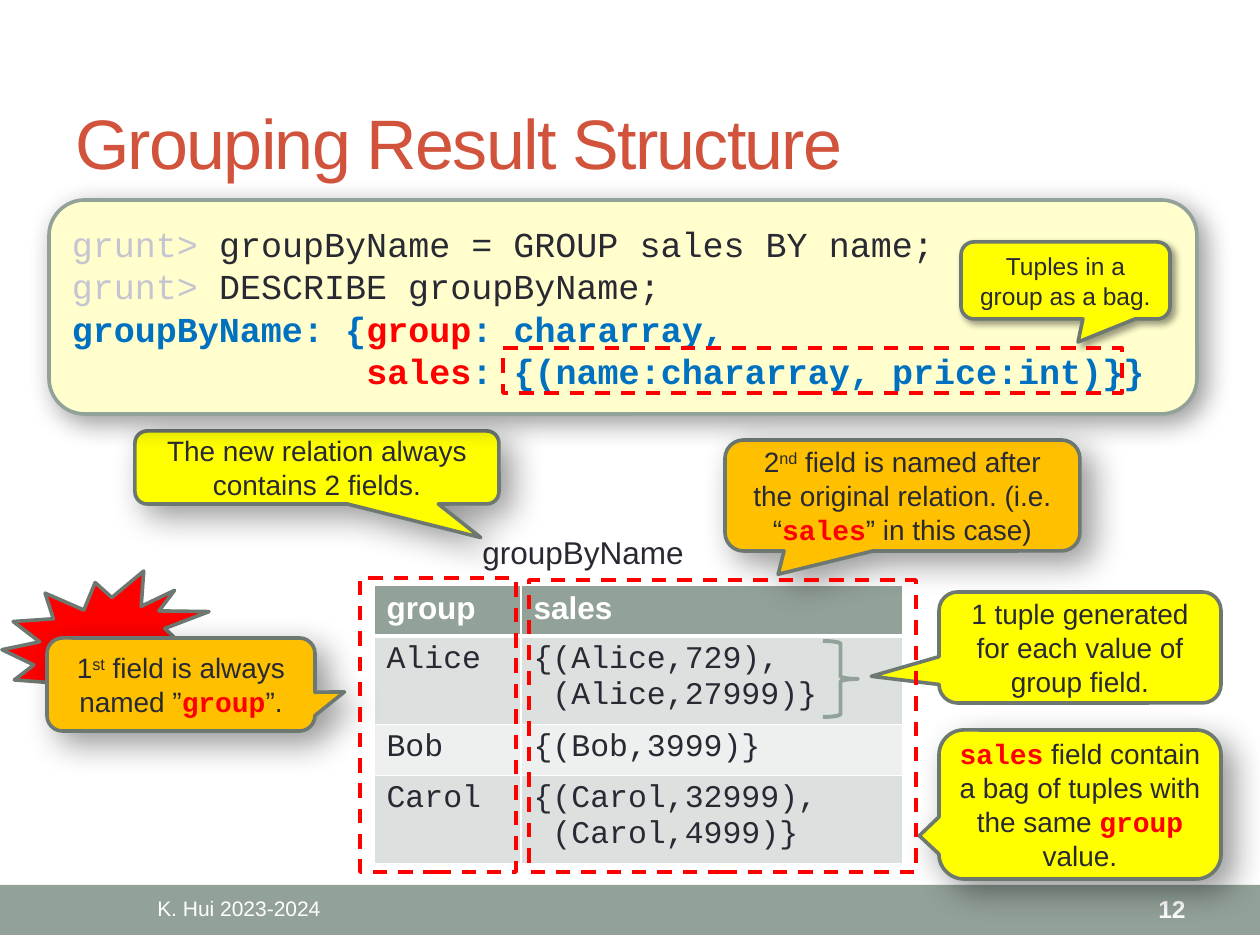
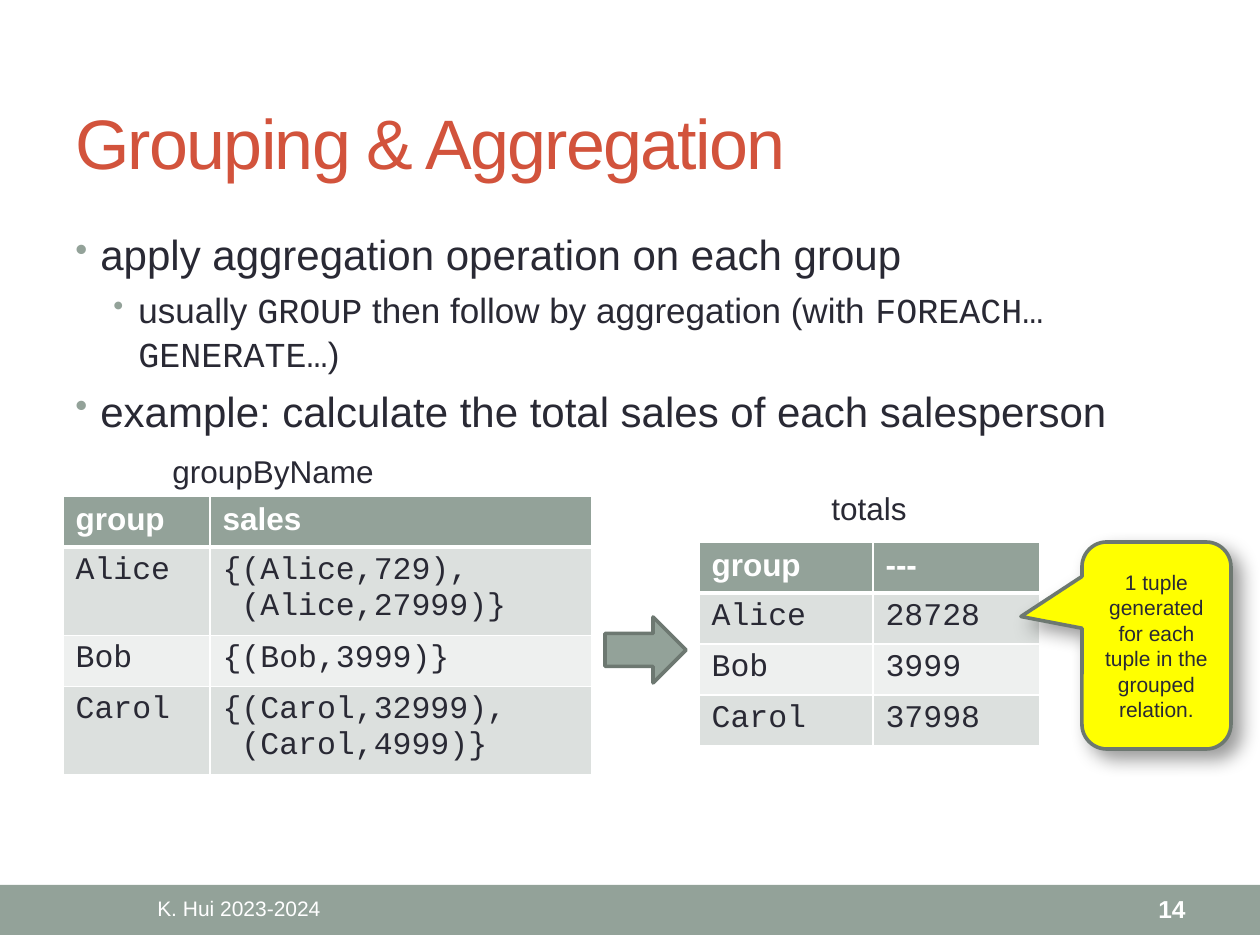
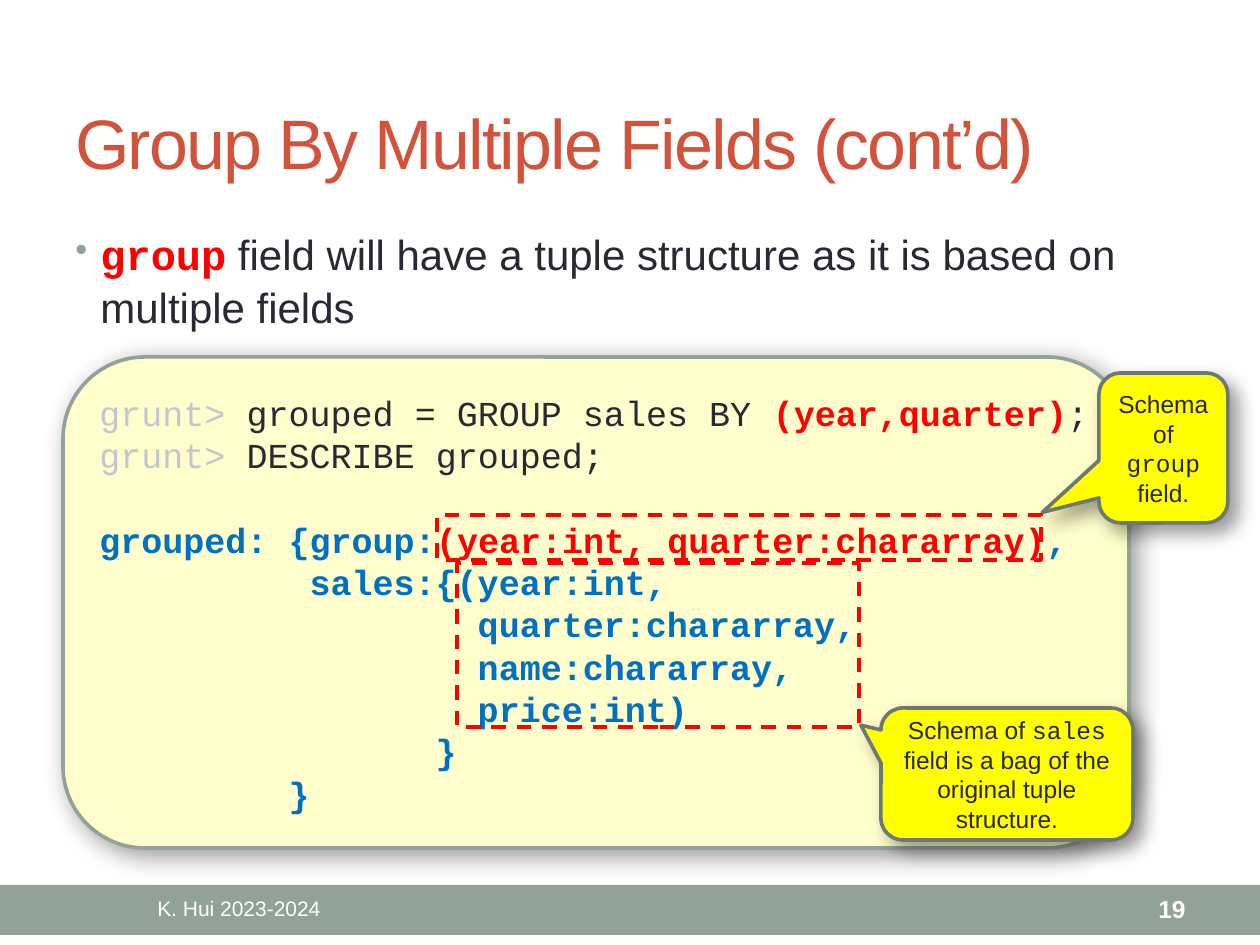
from collections import namedtuple

from lxml.etree import SubElement
from pptx import Presentation
from pptx.dml.color import RGBColor
from pptx.enum.dml import MSO_LINE
from pptx.enum.shapes import MSO_SHAPE as Shape
from pptx.enum.text import MSO_ANCHOR as Anchor, PP_ALIGN as Align
from pptx.oxml.ns import qn
from pptx.util import Emu, Pt

PX = 914400 / 126
SAGE, EDGE, INK, WHITE = "93A299", "6D7871", "292934", "FFFFFF"
RED, BLUE, YELLOW, ORANGE = "FF0000", "0070C0", "FFFF00", "FFC000"
CREAM, TITLE, PROMPT = "FFFECC", "D2533C", "C5C5D1"
STRIPES = ("DCE0DE", "EEF0EF")
LINE_WIDTH, LEADING, BULLET_LEADING, ROW_HEIGHT = 2.08, 1.21, 1.05, 51
SANS, MONO = "Arial", "Courier New"
STYLES = {
    "text": (SANS, INK, False),
    "super": (SANS, INK, False),
    "code": (MONO, INK, False),
    "key": (MONO, RED, True),
    "prompt": (MONO, PROMPT, False),
    "schema": (MONO, BLUE, True),
    "title": (SANS, TITLE, False),
    "footer": (SANS, WHITE, False),
    "header": (SANS, WHITE, True),
}
CODE_SHADOW, WIDE_SHADOW = (15, 5), (19, 9)
MID_SHADOW, SMALL_SHADOW = (11, 7), (4, 3)
GROUPED_ROWS = [
    ["group", "sales"],
    ["Alice", "{(Alice,729),\n (Alice,27999)}"],
    ["Bob", "{(Bob,3999)}"],
    ["Carol", "{(Carol,32999),\n (Carol,4999)}"],
]
TOTAL_ROWS = [["group", "---"], ["Alice", "28728"], ["Bob", "3999"], ["Carol", "37998"]]


class Box(namedtuple("Box", "left top width height")):
    """A rectangle in px."""

    def inside(self, left, top, width, height):
        """Return a box measured from this box's top left corner."""
        return Box(self.left + left, self.top + top, width, height)

    def emu(self):
        """Return the four lengths in EMU."""
        return [px(length) for length in self]


def px(length):
    """Turn px into EMU."""
    return Emu(round(length * PX))


def color(value):
    """Turn a hex string into a colour."""
    return RGBColor.from_string(value)


def assign(target, values):
    """Set attributes from a dict."""
    for key, value in values.items():
        setattr(target, key, value)


def write(frame, paragraphs, size, align=Align.LEFT, leading=LEADING):
    """Fill a text frame with paragraphs of (text, style) runs."""
    for index, runs in enumerate(paragraphs):
        paragraph = frame.add_paragraph() if index else frame.paragraphs[0]
        paragraph.alignment = align
        if leading:
            paragraph.line_spacing = Pt(size * leading)
        add_runs(paragraph, runs, size)


def add_runs(paragraph, runs, size):
    """Add styled runs to a paragraph."""
    for text, style in runs:
        run = paragraph.add_run()
        run.text = text
        face, ink, bold = STYLES[style]
        assign(run.font, {"name": face, "size": Pt(size), "bold": bold})
        run.font.color.rgb = color(ink)
        if style == "super":
            run.font._element.set("baseline", "30000")
        if style == "title":
            run.font._element.set("spc", "-100")


def text_box(slide, box, paragraphs, size, align=Align.LEFT, anchor=Anchor.MIDDLE, wrap=True):
    """Add a text box."""
    frame = slide.shapes.add_textbox(*box.emu()).text_frame
    assign(frame, {"word_wrap": wrap, "vertical_anchor": anchor})
    write(frame, paragraphs, size, align, None)


def add_shadow(shape, blur, distance):
    """Give a shape a soft shadow towards the lower right."""
    effects = shape._element.spPr.find(qn("a:effectLst"))
    outer = SubElement(effects, qn("a:outerShdw"), blurRad=str(Pt(blur)), dist=str(Pt(distance)),
                       dir="2700000", algn="tl", rotWithShape="0")
    black = SubElement(outer, qn("a:srgbClr"), val="000000")
    SubElement(black, qn("a:alpha"), val="40000")


def add_figure(slide, kind, box, fill=None, line=None, shadow=None, width=LINE_WIDTH):
    """Add a preset shape with its own fill, line and shadow."""
    shape = slide.shapes.add_shape(kind, *box.emu())
    shape.shadow.inherit = False
    if fill:
        shape.fill.solid()
        shape.fill.fore_color.rgb = color(fill)
    else:
        shape.fill.background()
    if line:
        shape.line.color.rgb = color(line)
        shape.line.width = Pt(width)
    else:
        shape.line.fill.background()
    if shadow:
        add_shadow(shape, *shadow)
    assign(shape.text_frame, {"word_wrap": True, "vertical_anchor": Anchor.MIDDLE})
    return shape


def callout(slide, box, tip, runs, size=16, fill=YELLOW, shadow=MID_SHADOW):
    """Add a speech bubble whose tip is a fraction of its size from its centre."""
    bubble = add_figure(slide, Shape.ROUNDED_RECTANGULAR_CALLOUT, box, fill, EDGE, shadow)
    bubble.adjustments[0], bubble.adjustments[1] = tip
    write(bubble.text_frame, [runs], size, Align.CENTER)


def outline(slide, box):
    """Mark a part with a dashed red frame."""
    add_figure(slide, Shape.RECTANGLE, box, line=RED).line.dash_style = MSO_LINE.DASH


def code_panel(slide, box, lines):
    """Add a rounded code listing and return its paragraphs."""
    panel = add_figure(slide, Shape.ROUNDED_RECTANGLE, box, CREAM, SAGE, CODE_SHADOW)
    write(panel.text_frame, lines, 20)
    return panel.text_frame.paragraphs


def border_cell(cell, row):
    """Draw white borders, thick below the header row."""
    widths = {"L": 1, "R": 1, "T": 3 if row == 1 else 1, "B": 1 if row else 3}
    properties = cell._tc.get_or_add_tcPr()
    for index, (side, width) in enumerate(widths.items()):
        border = SubElement(properties, qn(f"a:ln{side}"), w=str(Pt(width)))
        solid = SubElement(border, qn("a:solidFill"))
        SubElement(solid, qn("a:srgbClr"), val=WHITE)
        properties.insert(index, border)


def relation(slide, box, name, label, columns, rows):
    """Add a relation's table with its name at a place relative to the box."""
    table = slide.shapes.add_table(len(rows), len(columns), *box.emu()).table
    for column, width in zip(table.columns, columns):
        column.width = px(width)
    for r, values in enumerate(rows):
        table.rows[r].height = px(ROW_HEIGHT)
        for c, value in enumerate(values):
            cell = table.cell(r, c)
            cell.fill.solid()
            cell.fill.fore_color.rgb = color(STRIPES[(r - 1) % 2] if r else SAGE)
            border_cell(cell, r)
            style = "code" if r else "header"
            write(cell.text_frame, [[(line, style)] for line in value.split("\n")], 18, leading=None)
    text_box(slide, box.inside(*label), [[(name, "text")]], 18, anchor=Anchor.TOP, wrap=False)


def grouped_relation(slide, box, label):
    """Add the groupByName relation."""
    relation(slide, box, "groupByName", label, (147, 382), GROUPED_ROWS)


def bullet_list(slide, box, items):
    """Add bullets given as (level, runs)."""
    frame = slide.shapes.add_textbox(*box.emu()).text_frame
    frame.word_wrap = True
    for index, (level, runs) in enumerate(items):
        paragraph = frame.add_paragraph() if index else frame.paragraphs[0]
        size = 20 if level else 24
        properties = paragraph._p.get_or_add_pPr()
        properties.set("marL", str(px(63 if level else 25)))
        properties.set("indent", str(px(-25)))
        tint = SubElement(properties, qn("a:buClr"))
        SubElement(tint, qn("a:srgbClr"), val=SAGE)
        SubElement(properties, qn("a:buSzPct"), val="85000")
        SubElement(properties, qn("a:buChar"), char="•")
        assign(paragraph, {"level": level, "line_spacing": BULLET_LEADING})
        if index:
            paragraph.space_before = Pt(size * 0.2)
        add_runs(paragraph, runs, size)


def base_slide(deck, title, number):
    """Add a slide with the shared title, band and footers."""
    slide = deck.slides.add_slide(deck.slide_layouts[6])
    band = Box(0, 885, 1260, 50)
    add_figure(slide, Shape.RECTANGLE, band, SAGE)
    text_box(slide, Box(63, 73, 1134, 136), [[(title, "title")]], 40)
    text_box(slide, band.inside(63, 1, 352, 45), [[("K. Hui 2023-2024", "footer")]], 12, Align.CENTER)
    text_box(slide, band.inside(1051, 1, 147, 45), [[(number, "header")]], 14, Align.RIGHT)
    return slide


def describe_grouping(slide, box):
    """Show the grouping commands and the schema they give."""
    code_panel(slide, box, [
        [("grunt> ", "prompt"), ("groupByName = GROUP sales BY name;", "code")],
        [("grunt>", "prompt"), (" DESCRIBE groupByName;", "code")],
        [("groupByName: {", "schema"), ("group", "key"), (": chararray,", "schema")],
        [("              ", "schema"), ("sales", "key"),
         (": {(name:chararray, price:int)}}", "schema")],
    ])
    callout(slide, box.inside(912, 42, 209, 77), (0.06, 0.8),
            [("Tuples in a group as a bag.", "text")], 14, shadow=SMALL_SHADOW)
    outline(slide, box.inside(454, 148, 619, 45))


def explain_fields(slide, box):
    """Show the grouped relation with notes on its two fields."""
    add_figure(slide, Shape.EXPLOSION2, box.inside(-372, -14, 207, 132), RED, EDGE)
    grouped_relation(slide, box, (96, -58, 228, 50))
    notes = [
        ((-239, -154, 364, 73), (0.45, 0.96), YELLOW, WIDE_SHADOW,
         [("The new relation always contains 2 fields.", "text")]),
        ((-327, 53, 268, 93), (0.61, 0.08), ORANGE, WIDE_SHADOW,
         [("1", "text"), ("st", "super"), (" field is always named ”", "text"),
          ("group", "key"), ("”.", "text")]),
        ((351, -145, 355, 111), (-0.35, 0.71), ORANGE, WIDE_SHADOW,
         [("2", "text"), ("nd", "super"),
          (" field is named after the original relation. (i.e. “", "text"),
          ("sales", "key"), ("” in this case)", "text")]),
        ((565, 145, 282, 149), (-0.57, 0.21), YELLOW, WIDE_SHADOW,
         [("sales", "key"), (" field contain a bag of tuples with the same ", "text"),
          ("group", "key"), (" value.", "text")]),
        ((565, 7, 282, 111), (-0.74, 0.26), YELLOW, None,
         [("1 tuple generated for each value of group field.", "text")]),
    ]
    for place, tip, fill, shadow, runs in notes:
        callout(slide, box.inside(*place), tip, runs, fill=fill, shadow=shadow)
    add_figure(slide, Shape.RIGHT_BRACE, box.inside(449, 56, 35, 76), line=SAGE, width=2.25)
    outline(slide, box.inside(-14, -7, 156, 294))
    outline(slide, box.inside(155, -5, 387, 292))


def aggregate_groups(slide, box):
    """Show how the grouped relation becomes totals."""
    bullet_list(slide, box.inside(0, 0, 1168, 205), [
        (0, [("apply aggregation operation on each group", "text")]),
        (1, [("usually ", "text"), ("GROUP", "code"),
             (" then follow by aggregation (with ", "text"),
             ("FOREACH… GENERATE…", "code"), (")", "text")]),
        (0, [("example: calculate the total sales of each salesperson", "text")]),
    ])
    grouped_relation(slide, box.inside(0, 276, 529, 270), (97, -50, 228, 50))
    relation(slide, box.inside(636, 322, 341, 204), "totals", (120, -59, 102, 50),
             (174, 167), TOTAL_ROWS)
    add_figure(slide, Shape.RIGHT_ARROW, box.inside(542, 397, 81, 66), SAGE, EDGE)
    callout(slide, box.inside(1019, 322, 149, 207), (-0.91, -0.14),
            [("1 tuple generated for each tuple in the grouped relation.", "text")], 12)


def describe_multiple(slide, box):
    """Show the schema of a grouping by two fields."""
    members = [(10, "sales:{(year:int,"), (18, "quarter:chararray,"), (18, "name:chararray,"),
               (18, "price:int)"), (16, "}"), (9, "}")]
    paragraphs = code_panel(slide, box, [
        [("grunt>", "prompt"), (" grouped = GROUP sales BY ", "code"),
         ("(year,quarter)", "key"), (";", "code")],
        [("grunt>", "prompt"), (" DESCRIBE grouped;", "code")],
        [("grouped: {group:", "schema"), ("(year:int, quarter:chararray)", "key"), (",", "schema")],
        *[[(" " * depth + member, "schema")] for depth, member in members],
    ])
    paragraphs[2].space_before = Pt(20 * LEADING)
    callout(slide, box.inside(1036, 16, 129, 150), (-0.94, 0.43),
            [("Schema of ", "text"), ("group", "code"), (" field.", "text")], 14)
    callout(slide, box.inside(818, 351, 252, 132), (-0.58, -0.37),
            [("Schema of ", "text"), ("sales", "code"),
             (" field is a bag of the original tuple structure.", "text")], 14)
    outline(slide, box.inside(374, 158, 604, 45))
    outline(slide, box.inside(394, 206, 402, 164))


def main():
    """Build the deck."""
    deck = Presentation()
    assign(deck, {"slide_width": px(1260), "slide_height": px(945)})

    structure = base_slide(deck, "Grouping Result Structure", "12")
    explain_fields(structure, Box(374, 585, 529, 270))
    describe_grouping(structure, Box(49, 200, 1148, 214))

    aggregation = base_slide(deck, "Grouping & Aggregation", "14")
    aggregate_groups(aggregation, Box(63, 220, 1168, 546))

    multiple = base_slide(deck, "Group By Multiple Fields (cont’d)", "19")
    bullet_list(multiple, Box(63, 220, 1134, 146), [
        (0, [("group", "key"),
             (" field will have a tuple structure as it is based on multiple fields", "text")]),
    ])
    describe_multiple(multiple, Box(63, 357, 1066, 491))
    deck.save("out.pptx")


if __name__ == "__main__":
    main()
